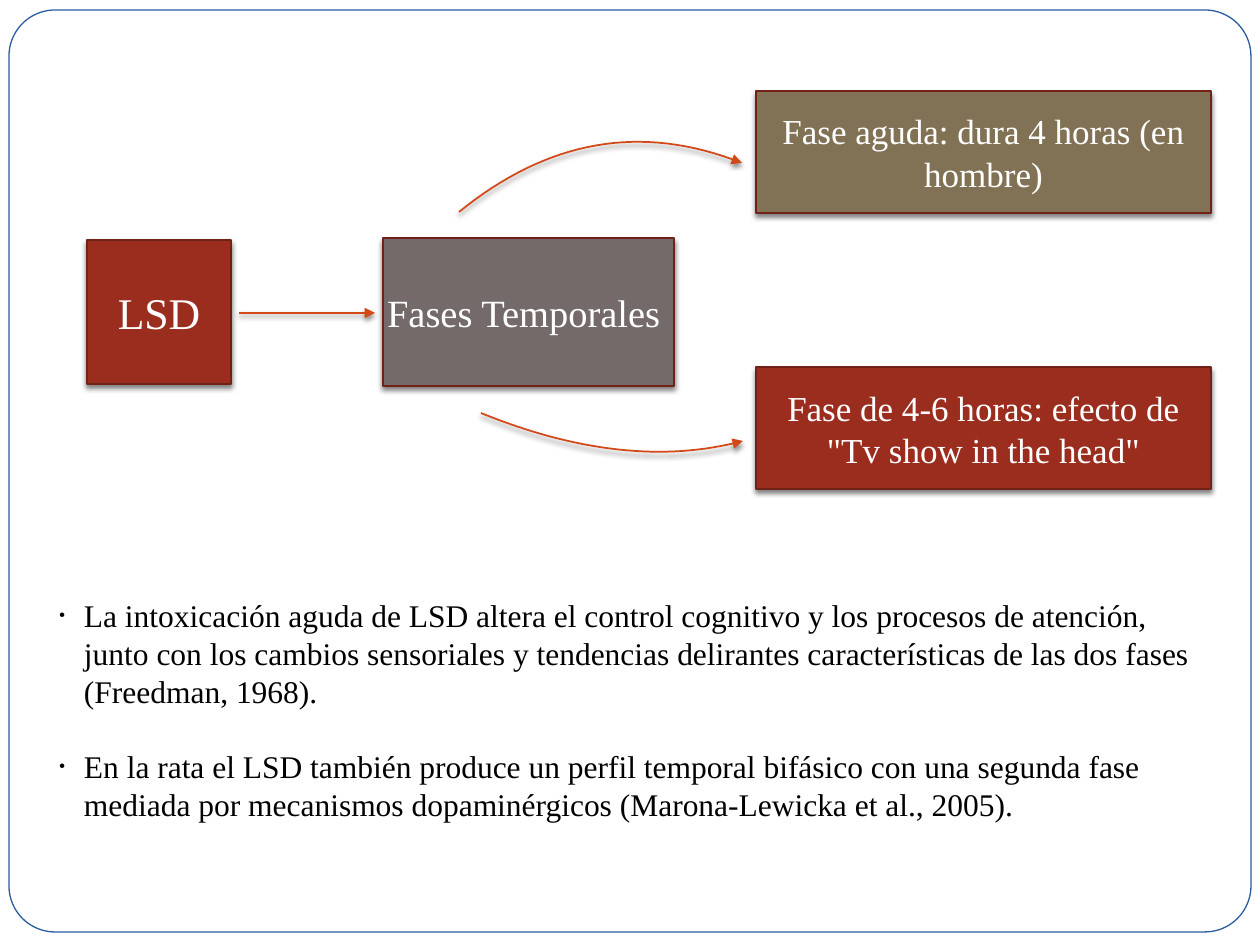
from lxml import etree
from pptx import Presentation
from pptx import util as u
from pptx.dml.color import RGBColor
from pptx.enum import shapes, text
from pptx.oxml.ns import qn

SCALE = 914400 / 126
FONT = "Times New Roman"
HUES = {
    "paper": "FFFFFF", "frame": "2A5CA0", "edge": "712117", "ink": "000000",
    "red": "9B2D1F", "olive": "827255", "gray": "746A6A", "arrow": "D34817",
}


def px(n):
    return u.Emu(round(n * SCALE))


def hue(name):
    return RGBColor.from_string(HUES[name])


def add(node, tag, **attrs):
    return etree.SubElement(node, qn(tag), attrs)


class Deck:
    def __init__(self):
        self.prs = Presentation()
        self.prs.slide_width, self.prs.slide_height = px(1260), px(945)
        self.slide = self.prs.slides.add_slide(self.prs.slide_layouts[6])
        self.items = self.slide.shapes

    def shade(self, item):
        """Soft shadow falling straight down."""
        props = item._element.spPr
        for old in props.findall(qn("a:effectLst")):
            props.remove(old)
        drop = add(add(props, "a:effectLst"), "a:outerShdw", blurRad="38100",
                   dist="25400", dir="5400000", rotWithShape="0")
        add(add(drop, "a:srgbClr", val=HUES["ink"]), "a:alpha", val="50000")

    def stroke(self, item, color, width=1.0):
        item.line.color.rgb = hue(color)
        item.line.width = u.Pt(width)

    def fonts(self, para, size, color):
        para.font.name, para.font.size = FONT, u.Pt(size)
        para.font.color.rgb = hue(color)

    def inset(self, frame, pad):
        frame.margin_left = frame.margin_right = px(pad)
        frame.margin_top = frame.margin_bottom = px(pad)
        frame.word_wrap = True

    def frame(self, x, y, w, h):
        item = self.items.add_shape(
            shapes.MSO_SHAPE.ROUNDED_RECTANGLE, px(x), px(y), px(w), px(h))
        item.adjustments[0] = 0.05
        item.shadow.inherit = False
        item.fill.solid()
        item.fill.fore_color.rgb = hue("paper")
        self.stroke(item, "frame", 0.75)

    def box(self, x, y, w, h, words, size, fill, pad=6):
        item = self.items.add_shape(
            shapes.MSO_SHAPE.RECTANGLE, px(x), px(y), px(w), px(h))
        item.fill.solid()
        item.fill.fore_color.rgb = hue(fill)
        self.stroke(item, "edge")
        self.shade(item)
        frame = item.text_frame
        self.inset(frame, pad)
        frame.vertical_anchor = text.MSO_ANCHOR.MIDDLE
        para = frame.paragraphs[0]
        para.text = words
        para.alignment = text.PP_ALIGN.CENTER
        self.fonts(para, size, "paper")

    def point(self, item):
        """Colour, arrowhead and shadow of an arrow."""
        self.stroke(item, "arrow")
        add(item.line._get_or_add_ln(), "a:tailEnd", type="triangle")
        self.shade(item)

    def arrow(self, x1, y1, x2, y2):
        self.point(self.items.add_connector(
            shapes.MSO_CONNECTOR.STRAIGHT, px(x1), px(y1), px(x2), px(y2)))

    def curve(self, *knots, steps=32):
        """Cubic curve through start, two controls and end."""
        spots = []
        for i in range(steps + 1):
            t = i / steps
            s = 1 - t
            parts = (s ** 3, 3 * s * s * t, 3 * s * t * t, t ** 3)
            spots.append(tuple(
                px(sum(k * p[axis] for k, p in zip(parts, knots)))
                for axis in (0, 1)))
        path = self.items.build_freeform(*spots[0])
        path.add_line_segments(spots[1:], close=False)
        item = path.convert_to_shape()
        item.fill.background()
        self.point(item)

    def bullets(self, x, y, w, h, lines, size, gap):
        frame = self.items.add_textbox(px(x), px(y), px(w), px(h)).text_frame
        self.inset(frame, 6)
        for i, line in enumerate(lines):
            para = frame.add_paragraph() if i else frame.paragraphs[0]
            para.text = line
            if i:
                para.space_before = u.Pt(gap)
            props = para._p.get_or_add_pPr()
            props.set("marL", str(px(25)))
            props.set("indent", str(-px(25)))
            add(props, "a:buSzPct", val="60000")
            add(props, "a:buFont", typeface=FONT)
            add(props, "a:buChar", char="•")
            self.fonts(para, size, "ink")


def main():
    deck = Deck()
    deck.frame(9, 10, 1242, 922)

    # Findings
    deck.bullets(53, 590, 1154, 223, [
        "La intoxicación aguda de LSD altera el control cognitivo y los "
        "procesos de atención, junto con los cambios sensoriales y tendencias "
        "delirantes características de las dos fases (Freedman, 1968).",
        "En la rata el LSD también produce un perfil temporal bifásico con una "
        "segunda fase mediada por mecanismos dopaminérgicos (Marona-Lewicka "
        "et al., 2005).",
    ], 18, 21.6)

    # Drug, its phases and their effects
    deck.box(87, 240, 144, 144, "LSD", 25, "red")
    deck.box(756, 91, 455, 122, "Fase aguda: dura 4 horas (en hombre)",
             20, "olive", 0)
    deck.box(756, 367, 455, 122,
             'Fase de 4-6 horas: efecto de "Tv show in the head"', 20, "red")
    deck.box(383, 238, 291, 148, "Fases Temporales ", 22, "gray", 0)

    # Arrows
    deck.curve((459, 212), (548, 140), (641, 123), (742, 163))
    deck.curve((481, 413), (577, 452), (664, 462), (743, 441))
    deck.arrow(239, 313, 375, 313)

    deck.prs.save("out.pptx")


if __name__ == "__main__":
    main()
